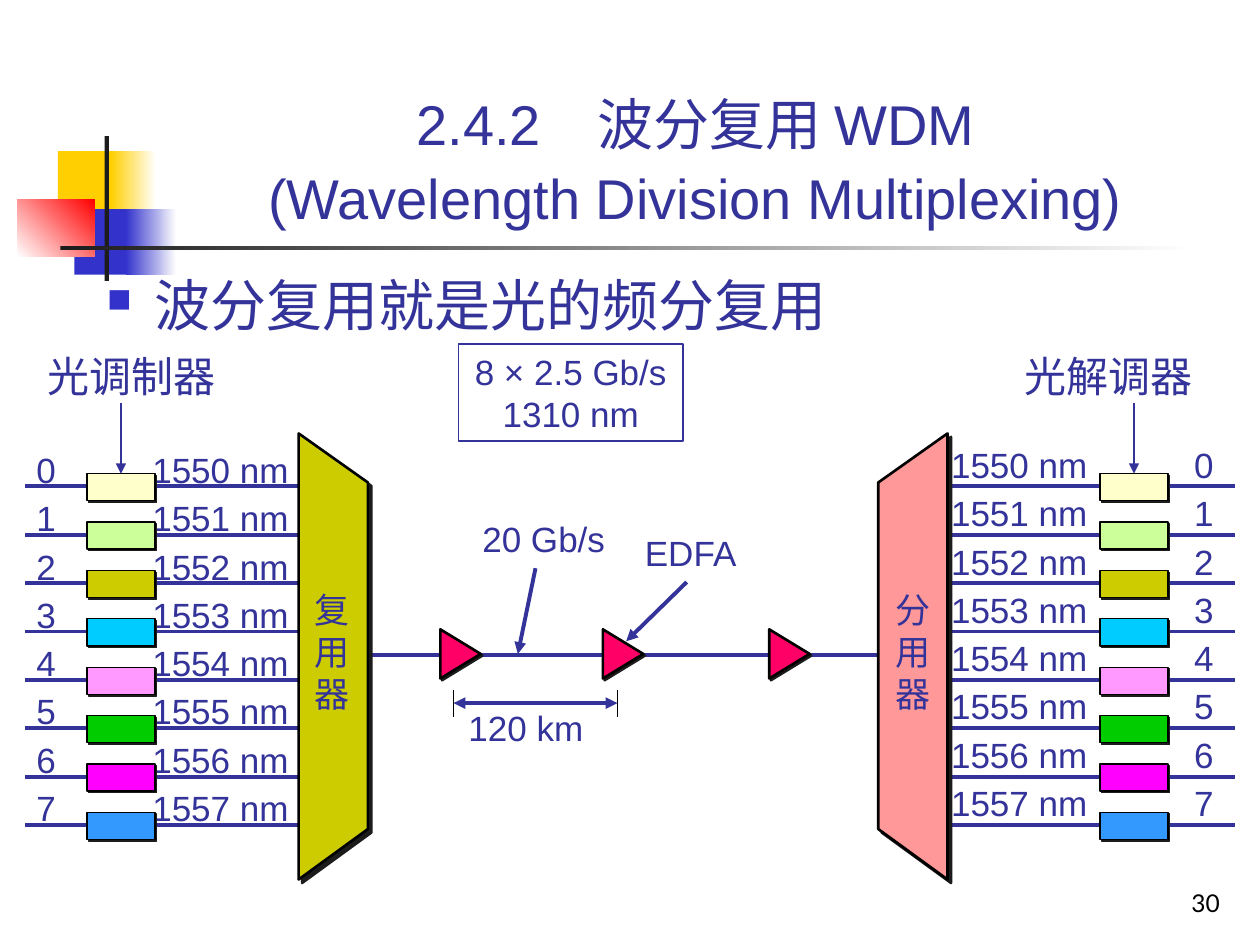
import lxml.etree
import pptx
import pptx.dml.color
import pptx.enum.shapes
import pptx.enum.text
import pptx.oxml.ns
import pptx.util

COLUMNS, ROWS = 100, 75
INK, BLACK, SHADOW = "333399", "000000", "1C1C1C"
CHANNEL_COLOURS = ["FFFFCC", "CCFF99", "CCCC00", "00CCFF",
                   "FF99FF", "00CC00", "FF00FF", "3399FF"]
CHANNEL_PITCH = 3.84
SHAPES = pptx.enum.shapes.MSO_SHAPE
ALIGN = pptx.enum.text.PP_ALIGN
ANCHOR = pptx.enum.text.MSO_ANCHOR


def cells(count):
    """Length of a number of grid cells; a cell is a tenth of an inch."""
    return pptx.util.Emu(round(count * pptx.util.Inches(10) / COLUMNS))


def colour(value):
    return pptx.dml.color.RGBColor.from_string(value)


def add_element(parent, tag, **attributes):
    element = lxml.etree.SubElement(parent, pptx.oxml.ns.qn(tag))
    for name, value in attributes.items():
        element.set(name, str(value))
    return element


def style_shape(shape, fill=None, line=None, width=0.75, shadow=0):
    """Set fill, outline and a hard diagonal shadow of the given distance."""
    if fill:
        shape.fill.solid()
        shape.fill.fore_color.rgb = colour(fill)
    else:
        shape.fill.background()
    if line:
        shape.line.color.rgb = colour(line)
        shape.line.width = pptx.util.Pt(width)
    else:
        shape.line.fill.background()
    shape.shadow.inherit = False
    if shadow:
        effects = shape._element.spPr.find(pptx.oxml.ns.qn("a:effectLst"))
        outer = add_element(effects, "a:outerShdw", dist=pptx.util.Pt(shadow),
                            dir=45 * 60000, algn="ctr", rotWithShape=0)
        add_element(outer, "a:srgbClr", val=SHADOW)


def add_shape(slide, kind, box, **style):
    shape = slide.shapes.add_shape(kind, *map(cells, box))
    style_shape(shape, **style)
    return shape


def add_gradient(slide, box, start, end, angle=0):
    shape = add_shape(slide, SHAPES.RECTANGLE, box)
    shape.fill.gradient()
    shape.fill.gradient_angle = angle
    for stop, value in zip(shape.fill.gradient_stops, (start, end)):
        stop.color.rgb = colour(value)


def add_polygon(slide, points, **style):
    corners = [(cells(x), cells(y)) for x, y in points]
    builder = slide.shapes.build_freeform(*corners[0])
    builder.add_line_segments(corners[1:], close=True)
    style_shape(builder.convert_to_shape(), **style)


def add_line(slide, start, end, width=2.25, line=INK, head=False, tail=False):
    connector = slide.shapes.add_connector(
        pptx.enum.shapes.MSO_CONNECTOR.STRAIGHT, *map(cells, start + end))
    connector.line.color.rgb = colour(line)
    connector.line.width = pptx.util.Pt(width)
    outline = connector.line._get_or_add_ln()
    for wanted, tag in ((head, "a:headEnd"), (tail, "a:tailEnd")):
        if wanted:
            add_element(outline, tag, type="triangle")
    add_element(connector._element.spPr, "a:effectLst")
    return connector


def write(shape, lines, size=20, font="Arial", ink=INK, align=ALIGN.LEFT,
          anchor=ANCHOR.TOP, wrap=False, spacing=None, tab=None, bullet=None):
    frame = shape.text_frame
    frame.word_wrap = wrap
    frame.vertical_anchor = anchor
    for index, line in enumerate(lines):
        paragraph = frame.add_paragraph() if index else frame.paragraphs[0]
        paragraph.text = line
        paragraph.alignment = align
        if spacing:
            paragraph.line_spacing = pptx.util.Pt(spacing)
        properties = paragraph._p.get_or_add_pPr()
        if bullet:
            properties.set("marL", str(cells(3.8)))
            properties.set("indent", str(-cells(3.8)))
            add_element(add_element(properties, "a:buClr"), "a:srgbClr", val=bullet)
            add_element(properties, "a:buSzPct", val=60000)
            add_element(properties, "a:buChar", char="■")
        if tab:
            add_element(add_element(properties, "a:tabLst"), "a:tab",
                        pos=cells(tab), algn="l")
        paragraph.font.size = pptx.util.Pt(size)
        paragraph.font.name = font
        paragraph.font.color.rgb = colour(ink)


def add_text(slide, box, lines, **style):
    write(slide.shapes.add_textbox(*map(cells, box)), lines, **style)


def add_decoration(slide):
    rectangle = SHAPES.RECTANGLE
    add_shape(slide, rectangle, (4.6, 12, 4.8, 5.2), fill="FFCF01")
    add_gradient(slide, (8.8, 12, 3.6, 5.2), "FFCF01", "FFFFFF")
    add_shape(slide, rectangle, (5.9, 16.6, 4.6, 5.2), fill="3333CC")
    add_gradient(slide, (10, 16.6, 4, 5.2), "3333CC", "FFFFFF")
    add_gradient(slide, (1.4, 15.8, 6.1, 4.6), "FFFFFF", "FF0000", 45)
    add_shape(slide, rectangle, (8.3, 10.8, 0.35, 11.5), fill=SHADOW)
    add_gradient(slide, (4.8, 19.5, 90, 0.35), SHADOW, "FFFFFF")


def add_channels(slide, line_left, box_left, text_box, labels, tab, title_left, title):
    """One bank of eight wavelengths with its coloured converters."""
    add_text(slide, text_box, labels, wrap=True, spacing=27.6, tab=tab)
    converters = []
    for index, fill in enumerate(CHANNEL_COLOURS):
        offset = index * CHANNEL_PITCH
        y = 38.6 + offset
        add_line(slide, (line_left, y), (line_left + 22.8, y))
        converters.append(add_shape(
            slide, SHAPES.RECTANGLE, (box_left, 37.6 + offset, 5.4, 2.15),
            fill=fill, line=BLACK, shadow=1.4))
    add_text(slide, (title_left, 27.3, 15.3, 5), [title], size=24, font="Lato")
    middle = box_left + 2.7
    arrow = add_line(slide, (middle, 32), (middle, 37.6), width=0.75, tail=True)
    arrow.end_connect(converters[0], 0)


def add_multiplexer(slide, outer, inner, fill, text_left, name):
    points = [(outer, 69.8), (inner, 65.8), (inner, 38.3), (outer, 34.4)]
    add_polygon(slide, points, fill=fill, line=BLACK, width=1.5, shadow=2.8)
    add_text(slide, (text_left, 46.2, 4.8, 11), list(name), font="Times New Roman")


def add_fibre(slide):
    add_line(slide, (25.4, 52), (74.6, 52))
    for left in (34.6, 47.5, 60.7):
        amplifier = add_shape(slide, SHAPES.ISOSCELES_TRIANGLE, (left, 50.3, 3.9, 3.2),
                              fill="FF0066", line=BLACK, width=1.5, shadow=1.4)
        amplifier.rotation = 90
    add_text(slide, (37.3, 40.6, 12.7, 4.4), ["20 Gb/s"])
    add_line(slide, (42.5, 45.1), (41.1, 51.9), tail=True)
    add_text(slide, (50.2, 41.7, 10, 4.4), ["EDFA"])
    add_line(slide, (54.5, 46.2), (49.7, 50.9), tail=True)
    for x in (36, 49):
        add_line(slide, (x, 54.8), (x, 56.9), width=0.75, line=BLACK)
    add_line(slide, (36, 55.8), (49, 55.8), head=True, tail=True)
    add_text(slide, (36.2, 55.6, 12, 4.4), ["120 km"])


def main():
    presentation = pptx.Presentation()
    presentation.slide_width = cells(COLUMNS)
    presentation.slide_height = cells(ROWS)
    slide = presentation.slides.add_slide(presentation.slide_layouts[6])
    add_decoration(slide)
    add_text(slide, (12.6, 2.8, 85.2, 16),
             ["2.4.2　波分复用 WDM\v(Wavelength Division Multiplexing)"],
             size=32, align=ALIGN.CENTER, anchor=ANCHOR.BOTTOM, wrap=True, spacing=42)
    add_text(slide, (7.5, 21, 90.6, 45), ["波分复用就是光的频分复用"],
             size=32, wrap=True, bullet="3333CC")
    rate = add_shape(slide, SHAPES.RECTANGLE, (36.4, 27.3, 17.8, 7.7), line=INK)
    write(rate, ["8 × 2.5 Gb/s", "1310 nm"], align=ALIGN.CENTER)
    channels = range(len(CHANNEL_COLOURS))
    add_channels(slide, 2, 6.9, (1.9, 34.6, 25.2, 31.7),
                 [f"{index}\t{1550 + index} nm" for index in channels], 9.2,
                 2.8, "光调制器")
    add_channels(slide, 75.2, 87.3, (74.5, 34.2, 24.4, 31.7),
                 [f"{1550 + index} nm\t{index}" for index in channels], 19.3,
                 80.3, "光解调器")
    add_fibre(slide)
    add_multiplexer(slide, 23.7, 29.2, "CCCC00", 24, "复用器")
    add_multiplexer(slide, 75.2, 69.7, "FF9999", 70.1, "分用器")
    add_text(slide, (77, 68.3, 20.8, 5), ["30"], size=14, font="Lato", ink=BLACK,
             align=ALIGN.RIGHT, anchor=ANCHOR.BOTTOM, wrap=True)
    presentation.save("out.pptx")


if __name__ == "__main__":
    main()
